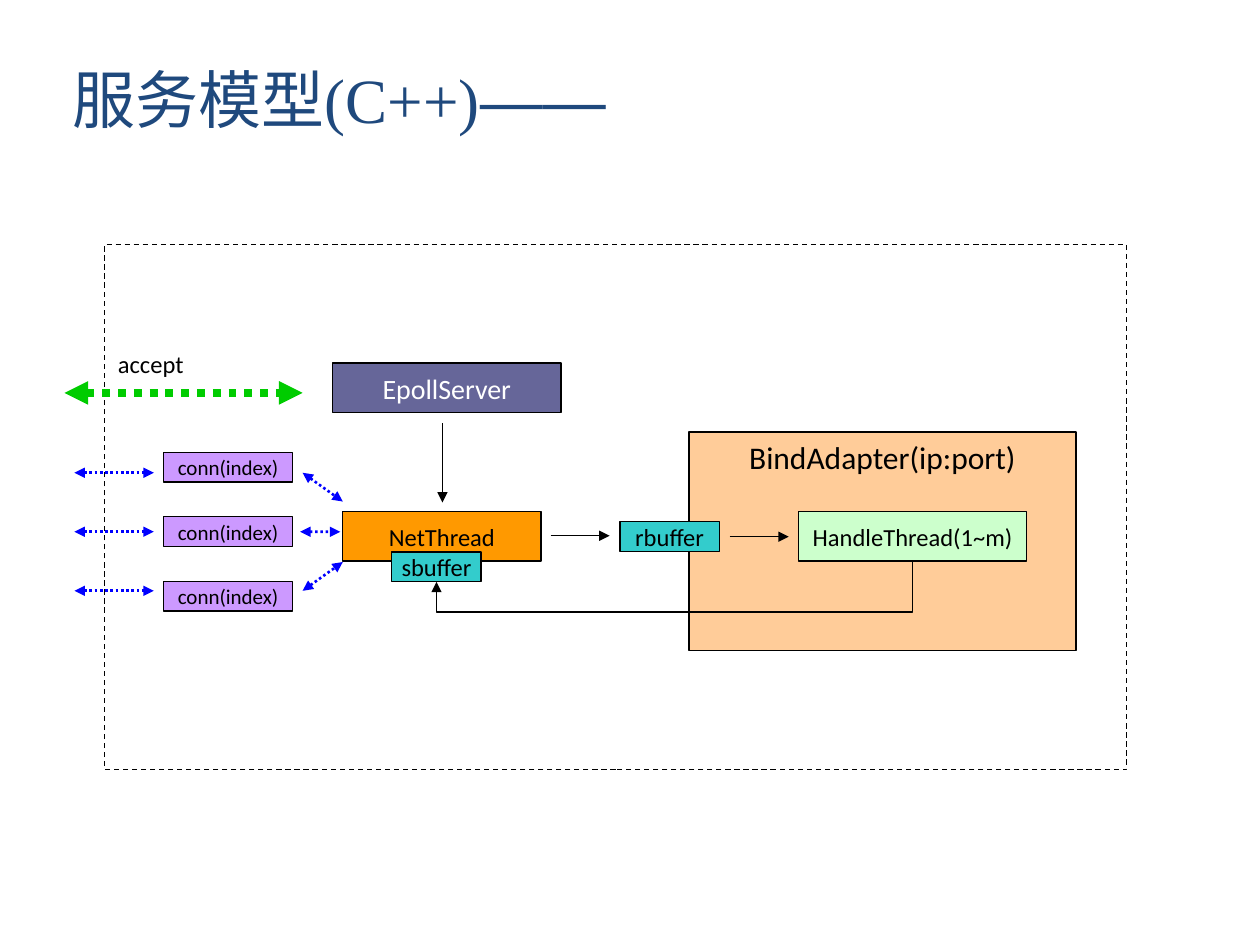
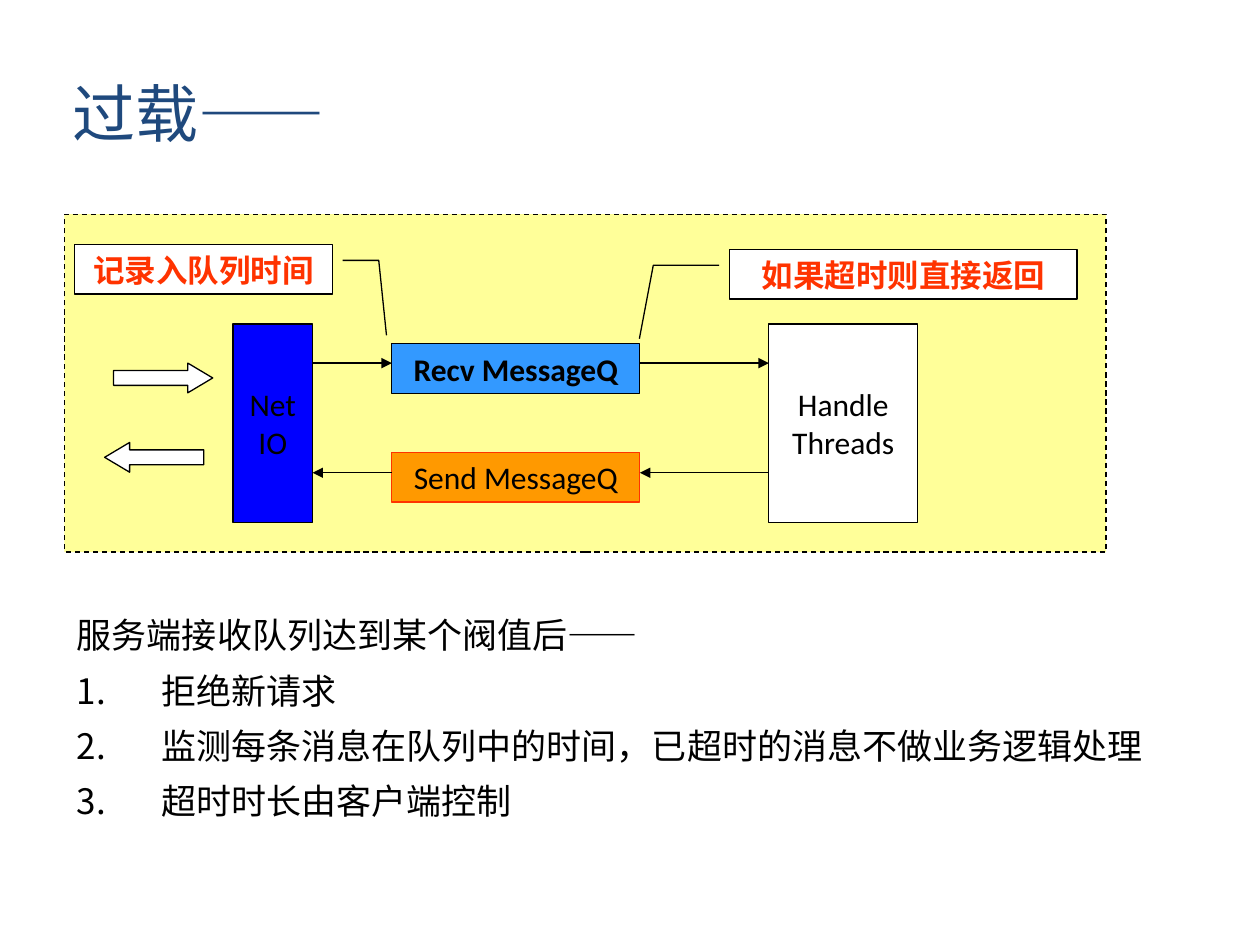
from lxml import etree
from pptx import Presentation
from pptx.dml.color import RGBColor
from pptx.enum.dml import MSO_LINE
from pptx.enum.shapes import MSO_CONNECTOR, MSO_SHAPE
from pptx.enum.text import MSO_ANCHOR, PP_ALIGN
from pptx.oxml.ns import qn
from pptx.util import Cm, Pt

RECT, CALLOUT = MSO_SHAPE.RECTANGLE, MSO_SHAPE.LINE_CALLOUT_2
RIGHT_ARROW, LEFT_ARROW = MSO_SHAPE.RIGHT_ARROW, MSO_SHAPE.LEFT_ARROW
STRAIGHT, ELBOW = MSO_CONNECTOR.STRAIGHT, MSO_CONNECTOR.ELBOW
DASH, DOTS = MSO_LINE.DASH, MSO_LINE.ROUND_DOT
TOP, MIDDLE, BOTTOM = MSO_ANCHOR.TOP, MSO_ANCHOR.MIDDLE, MSO_ANCHOR.BOTTOM
LEFT, CENTER = PP_ALIGN.LEFT, PP_ALIGN.CENTER

BLACK = RGBColor(0x00, 0x00, 0x00)
WHITE = RGBColor(0xFF, 0xFF, 0xFF)
NAVY = RGBColor(0x1F, 0x49, 0x7D)
ORANGE = RGBColor(0xFF, 0x99, 0x00)
PEACH = RGBColor(0xFF, 0xCC, 0x99)
TEAL = RGBColor(0x33, 0xCC, 0xCC)
SLATE = RGBColor(0x66, 0x66, 0x99)
MINT = RGBColor(0xCC, 0xFF, 0xCC)
LILAC = RGBColor(0xCC, 0x99, 0xFF)
GREEN = RGBColor(0x00, 0xCC, 0x00)
BLUE = RGBColor(0x00, 0x00, 0xFF)
SKY = RGBColor(0x33, 0x99, 0xFF)
YELLOW = RGBColor(0xFF, 0xFF, 0x99)
RED = RGBColor(0xFF, 0x33, 0x00)

SANS, SERIF, DASH_FONT = "Calibri", "Times New Roman", "Arial"


class Deck:
    """Holds the shared style and the slide being drawn; lengths are in cm."""

    def __init__(self):
        self.prs = Presentation()
        self.prs.slide_width, self.prs.slide_height = Cm(25.4), Cm(19.05)

    def new_slide(self, title, top, height):
        self.shapes = self.prs.slides.add_slide(self.prs.slide_layouts[6]).shapes
        tf = self.text_frame(1.22, top, 22.91, height, BOTTOM)
        self.dashed_heading(tf.paragraphs[0], title, 36, NAVY)

    def text_frame(self, x, y, w, h, anchor=TOP, wrap=True):
        tf = self.shapes.add_textbox(Cm(x), Cm(y), Cm(w), Cm(h)).text_frame
        tf.word_wrap, tf.vertical_anchor = wrap, anchor
        return tf

    def add_text(self, p, text, size, color=BLACK, font=SANS, bold=False):
        r = p.add_run()
        r.text = text
        for name, value in dict(size=Pt(size), name=font, bold=bold).items():
            setattr(r.font, name, value)
        r.font.color.rgb = color

    def dashed_heading(self, p, text, size, color):
        self.add_text(p, text, size, color, SERIF)
        self.add_text(p, "——", size, color, DASH_FONT)

    def centred_lines(self, tf, text, size, **style):
        """Put each line of text into a centred paragraph of its own."""
        for i, line in enumerate(text.split("\n")):
            p = tf.add_paragraph() if i else tf.paragraphs[0]
            p.alignment = CENTER
            self.add_text(p, line, size, **style)

    def label(self, x, y, w, h, text, size):
        self.centred_lines(self.text_frame(x, y, w, h, wrap=False), text, size)

    def shape(self, x, y, w, h, fill=None, text="", size=14, kind=RECT, adj=(),
              line=BLACK, dash=None, anchor=MIDDLE, wrap=False, **style):
        sp = self.shapes.add_shape(kind, Cm(x), Cm(y), Cm(w), Cm(h))
        sp.shadow.inherit = False
        if fill is None:
            sp.fill.background()
        else:
            sp.fill.solid()
            sp.fill.fore_color.rgb = fill
        sp.line.color.rgb, sp.line.width = line, Pt(0.75)
        if dash:
            sp.line.dash_style = dash
        for i, value in enumerate(adj):
            sp.adjustments[i] = value
        if text:
            tf = sp.text_frame
            tf.word_wrap, tf.vertical_anchor = wrap, anchor
            self.centred_lines(tf, text, size, **style)

    def arrow(self, x1, y1, x2, y2, color=BLACK, width=0.75, dash=None,
              double=False, kind=STRAIGHT):
        c = self.shapes.add_connector(kind, Cm(x1), Cm(y1), Cm(x2), Cm(y2))
        c.line.color.rgb, c.line.width = color, Pt(width)
        if dash:
            c.line.dash_style = dash
        spPr = c._element.spPr
        ln = spPr.find(qn("a:ln"))
        for end in ("a:headEnd", "a:tailEnd") if double else ("a:tailEnd",):
            etree.SubElement(ln, qn(end), type="triangle")
        etree.SubElement(spPr, qn("a:effectLst"))
        return c

    def return_arrow(self, x1, y1, x2, y2, low_y):
        """Run from (x1, y1) down to low_y, left, and up to (x2, y2)."""
        c = self.arrow(x1, y1, x2, y2, kind=ELBOW)
        w, h = y2 - y1, x1 - x2
        c.left, c.top = Cm((x1 + x2 - w) / 2), Cm((y1 + y2 - h) / 2)
        c.width, c.height = Cm(w), Cm(h)
        spPr = c._element.spPr
        xfrm = spPr.find(qn("a:xfrm"))
        xfrm.attrib.pop("flipH", None)
        xfrm.set("rot", "5400000")
        bend = round((low_y - y1) / w * 100000)
        etree.SubElement(spPr.find(qn("a:prstGeom")).find(qn("a:avLst")),
                         qn("a:gd"), name="adj1", fmla=f"val {bend}")

    def numbered_text(self, x, y, w, h, heading, items, size):
        tf = self.text_frame(x, y, w, h)
        for i, text in enumerate([heading, *items]):
            p = tf.add_paragraph() if i else tf.paragraphs[0]
            for name, value in dict(alignment=LEFT, line_spacing=1.15,
                                    space_before=Pt(size * 0.2)).items():
                setattr(p, name, value)
            pPr = p._p.get_or_add_pPr()
            pPr.set("marL", str(Cm(1.7)))
            pPr.set("indent", str(-Cm(1.7)))
            if i:
                etree.SubElement(pPr, qn("a:buAutoNum"), type="arabicPeriod")
                self.add_text(p, text, size, font=SERIF)
            else:
                self.dashed_heading(p, text, size, BLACK)


def service_model(s):
    s.new_slide("服务模型(C++)", 0.28, 2.59)
    s.shape(2.11, 4.93, 20.6, 10.59, dash=DASH)
    s.shape(6.91, 10.31, 4, 1, ORANGE, "NetThread")
    s.shape(7.9, 11.13, 1.8, 0.6, TEAL, "sbuffer")
    s.shape(13.89, 8.71, 7.8, 4.4, PEACH, "BindAdapter(ip:port)", 18, anchor=TOP)
    s.shape(6.71, 7.32, 4.6, 1, SLATE, "EpollServer", 16, color=WHITE)
    s.shape(12.5, 10.52, 2, 0.6, TEAL, "rbuffer")
    s.shape(16.1, 10.31, 4.6, 1, MINT, "HandleThread(1~m)")

    s.label(2.06, 6.91, 1.96, 0.84, "accept", 14)
    s.arrow(1.3, 7.92, 6.1, 7.92, GREEN, 4.5, DOTS, double=True)
    s.arrow(8.92, 8.53, 8.92, 10.13)
    s.arrow(11.1, 10.8, 12.29, 10.8)
    s.arrow(14.71, 10.82, 15.9, 10.82)
    s.return_arrow(18.4, 11.31, 8.8, 11.73, 12.34)

    links = [(6.1, 6.91, 10.11), (6.05, 6.86, 10.72), (6.1, 6.91, 11.33)]
    for i, (x1, x2, net_y) in enumerate(links):
        y = 9.53 + 1.19 * i
        s.shape(3.3, 9.12 + 1.3 * i, 2.6, 0.6, LILAC, "conn(index)", 12)
        s.arrow(1.5, y, 3.1, y, BLUE, 1.5, DOTS, double=True)
        s.arrow(x1, y, x2, net_y, BLUE, 1.5, DOTS, double=True)


def overload(s):
    s.new_slide("过载", 1.52, 1.63)
    s.shape(1.3, 4.32, 21, 6.81, YELLOW, dash=DASH)
    s.numbered_text(1.3, 12.12, 22, 5.59, "服务端接收队列达到某个阀值后", [
        "拒绝新请求",
        "监测每条消息在队列中的时间，已超时的消息不做业务逻辑处理",
        "超时时长由客户端控制",
    ], 20)

    net_x, queue_x, handle_x = 4.7, 7.9, 15.5
    net_w, queue_w = 1.6, 5
    s.shape(net_x, 6.53, net_w, 4, BLUE, "Net\nIO", 18)
    s.shape(queue_x, 6.93, queue_w, 1, SKY, "Recv MessageQ", 18, bold=True)
    s.shape(queue_x, 9.12, queue_w, 1, ORANGE, "Send MessageQ", 18, line=RED)
    s.shape(handle_x, 6.53, 3, 4, WHITE, "Handle\nThreads", 18)
    for x1, x2 in [(net_x + net_w, queue_x), (queue_x + queue_w, handle_x)]:
        s.arrow(x1, 7.32, x2, 7.32)
        s.arrow(x2, 9.53, x1, 9.53)
    for x, y, kind in [(2.29, 7.32, RIGHT_ARROW), (2.11, 8.92, LEFT_ARROW)]:
        s.shape(x, y, 2, 0.6, WHITE, kind=kind, adj=(0.5, 0.84))

    callouts = [
        (14.71, 5.03, 7, "如果超时则直接返回", (0.32, -0.03, 0.32, -0.22, 1.8, -0.26)),
        (1.5, 4.93, 5.2, "记录入队列时间", (0.32, 1.04, 0.32, 1.18, 1.83, 1.21)),
    ]
    for x, y, w, text, adj in callouts:
        s.shape(x, y, w, 1, WHITE, text, 18, kind=CALLOUT, adj=adj,
                anchor=TOP, wrap=True, color=RED, bold=True)


def main():
    deck = Deck()
    service_model(deck)
    overload(deck)
    deck.prs.save("out.pptx")


if __name__ == "__main__":
    main()
